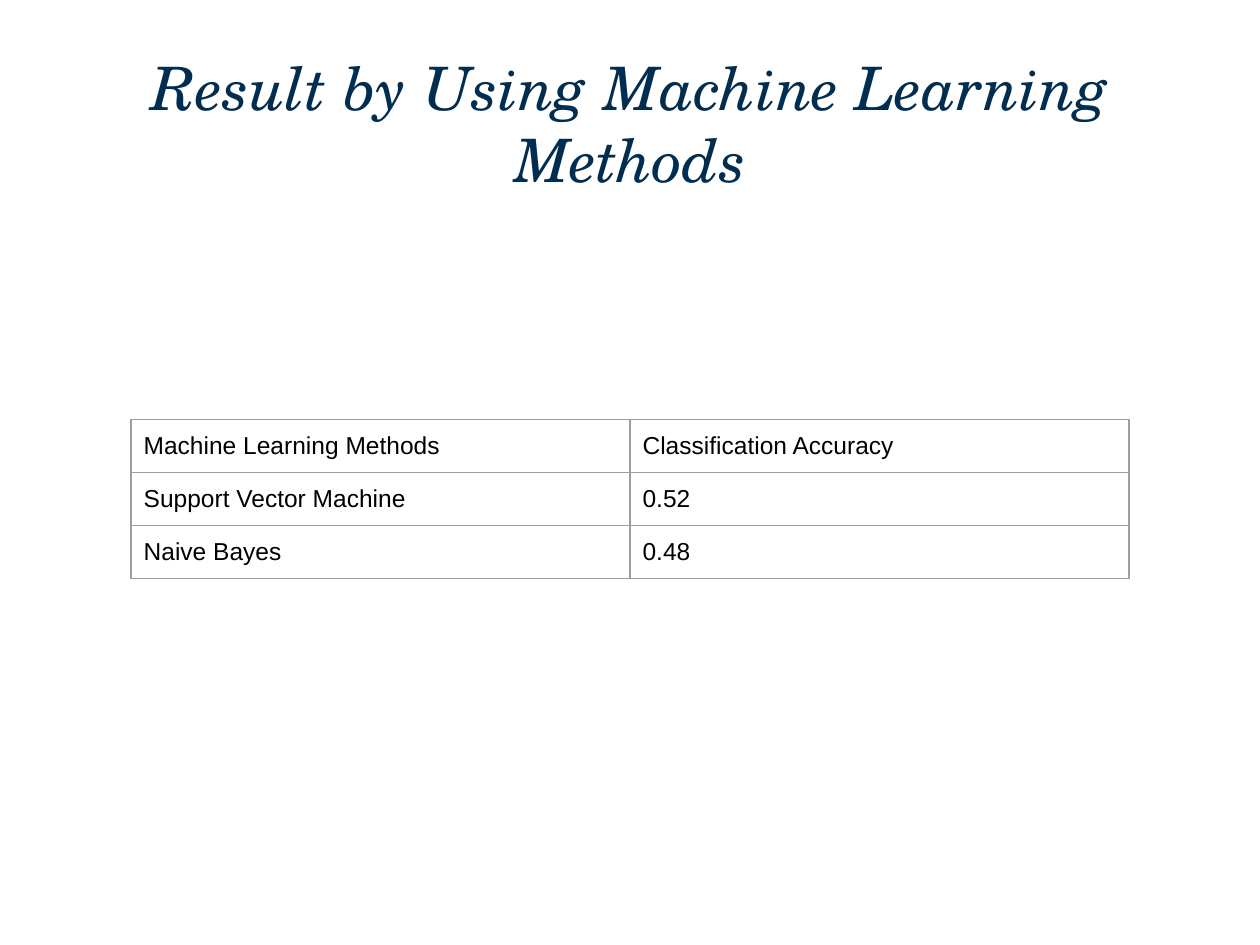
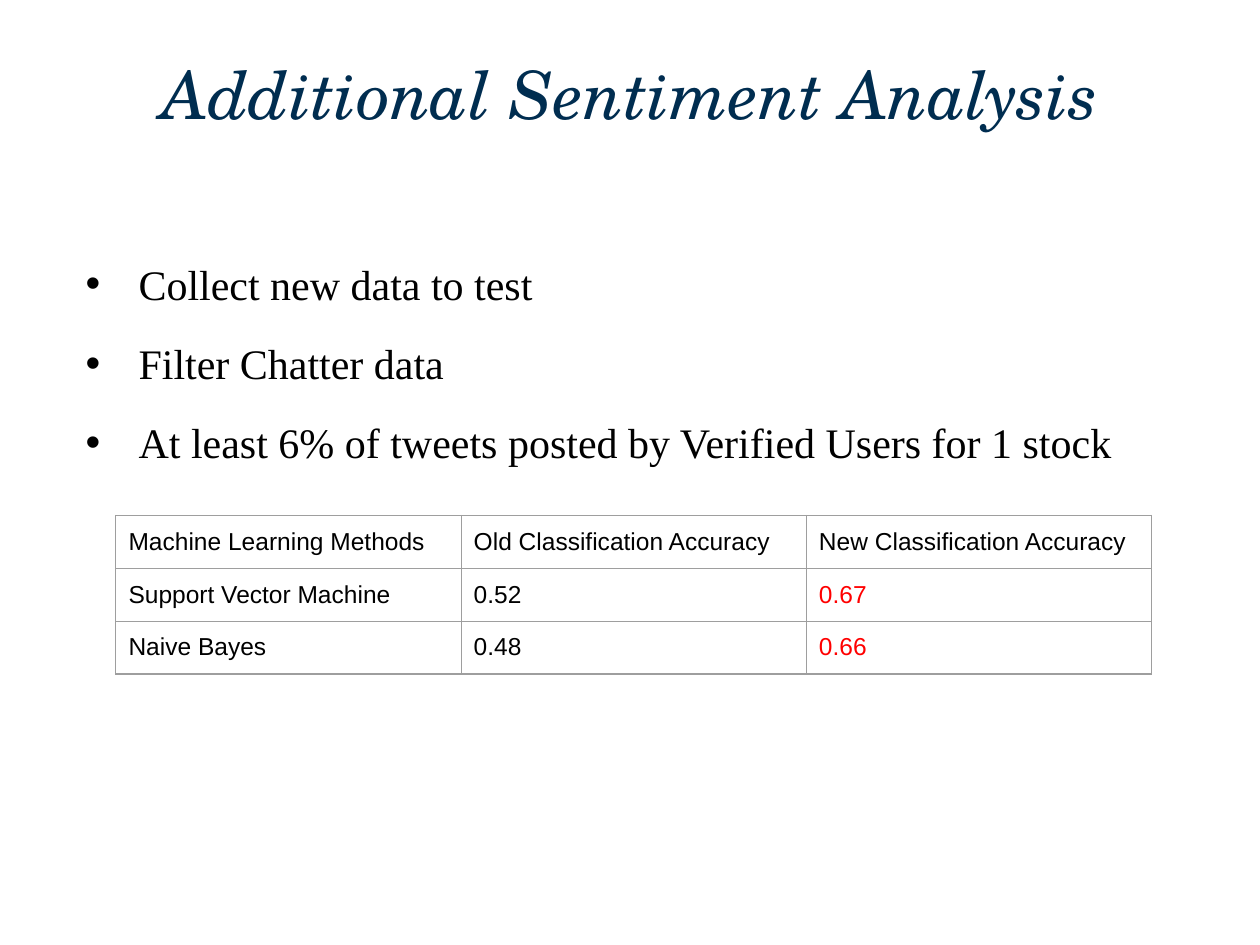
from lxml import etree
from pptx import Presentation
from pptx import util as u
from pptx.dml.color import RGBColor
from pptx.enum import text
from pptx.oxml.ns import qn

NAVY = RGBColor(0x00, 0x2D, 0x50)
BLACK = RGBColor(0x00, 0x00, 0x00)
RED = RGBColor(0xFF, 0x00, 0x00)
GREY = RGBColor(0x9E, 0x9E, 0x9E)
TITLE_ONLY, TITLE_BODY = 5, 1


class Deck:
    """Holds the shared style and the current slide."""

    title_font, body_font, table_font = "TeX Gyre Schola", "Times New Roman", "Arial"
    margin, width = u.Inches(0.5), u.Inches(9)
    inset = u.Inches(0.1)
    row_height = u.Inches(0.42)

    def __init__(self):
        self.prs = Presentation()
        self.prs.slide_width, self.prs.slide_height = u.Inches(10), u.Inches(7.5)

    def slide(self, layout):
        self.s = self.prs.slides.add_slide(self.prs.slide_layouts[layout])

    def run(self, p, words, font, size, color, italic=False):
        r = p.add_run()
        r.text = words
        r.font.name, r.font.size, r.font.italic = font, u.Pt(size), italic
        r.font.color.rgb = color

    def place(self, sp, top, height, anchor):
        sp.left, sp.top, sp.width, sp.height = self.margin, u.Inches(top), self.width, u.Inches(height)
        tf = sp.text_frame
        tf.word_wrap, tf.auto_size = True, text.MSO_AUTO_SIZE.NONE
        tf.vertical_anchor = anchor
        tf.margin_left = tf.margin_right = tf.margin_top = tf.margin_bottom = self.inset
        return tf

    def title(self, words, height, size):
        tf = self.place(self.s.shapes.title, 0.38, height, text.MSO_ANCHOR.MIDDLE)
        p = tf.paragraphs[0]
        p.alignment = text.PP_ALIGN.CENTER
        self.run(p, words, self.title_font, size, NAVY, italic=True)

    def bullets(self, items, top, height):
        tf = self.place(self.s.placeholders[1], top, height, text.MSO_ANCHOR.TOP)
        for i, words in enumerate(items):
            p = tf.add_paragraph() if i else tf.paragraphs[0]
            p.line_spacing, p.space_before = 1.5, u.Pt(2)
            pPr = p._p.get_or_add_pPr()
            pPr.set("marL", str(u.Inches(0.5)))
            pPr.set("indent", str(u.Inches(-0.42)))
            etree.SubElement(pPr, qn("a:buChar")).set("char", "•")
            self.run(p, words, self.body_font, 24, BLACK)

    def border(self, cell):
        tcPr = cell._tc.get_or_add_tcPr()
        for i, side in enumerate(("lnL", "lnR", "lnT", "lnB")):
            ln = etree.Element(qn("a:" + side), w=str(u.Pt(0.75)))
            fill = etree.SubElement(ln, qn("a:solidFill"))
            etree.SubElement(fill, qn("a:srgbClr")).set("val", str(GREY))
            tcPr.insert(i, ln)

    def table(self, rows, left, top, col_width, red_col=None):
        n = len(rows[0])
        frame = self.s.shapes.add_table(len(rows), n, u.Inches(left), u.Inches(top),
                                        u.Inches(col_width * n), self.row_height * len(rows))
        table = frame.table
        table.first_row = table.horz_banding = False
        for col in table.columns:
            col.width = u.Inches(col_width)
        for i, row in enumerate(rows):
            for j, words in enumerate(row):
                cell = table.cell(i, j)
                cell.fill.background()
                cell.margin_left = cell.margin_right = self.inset
                cell.margin_top = cell.margin_bottom = self.inset
                color = RED if i and j == red_col else BLACK
                self.run(cell.text_frame.paragraphs[0], words, self.table_font, 14, color)
                self.border(cell)


def main():
    deck = Deck()
    methods = ("Machine Learning Methods", "Support Vector Machine", "Naive Bayes")
    old = ("0.52", "0.48")
    new = ("0.67", "0.66")

    deck.slide(TITLE_ONLY)
    deck.title("Result by Using Machine Learning Methods", 1.19, 34.2)
    accuracy = ("Classification Accuracy", *old)
    deck.table(list(zip(methods, accuracy)), 1.04, 3.33, 3.96)

    deck.slide(TITLE_BODY)
    deck.title("Additional Sentiment Analysis", 0.72, 38)
    deck.bullets(("Collect new data to test",
                  "Filter Chatter data",
                  "At least 6% of tweets posted by Verified Users for 1 stock"), 1.75, 2.09)
    before = ("Old Classification Accuracy", *old)
    after = ("New Classification Accuracy", *new)
    deck.table(list(zip(methods, before, after)), 0.92, 4.09, 2.74, red_col=2)

    deck.prs.save("out.pptx")


if __name__ == "__main__":
    main()
